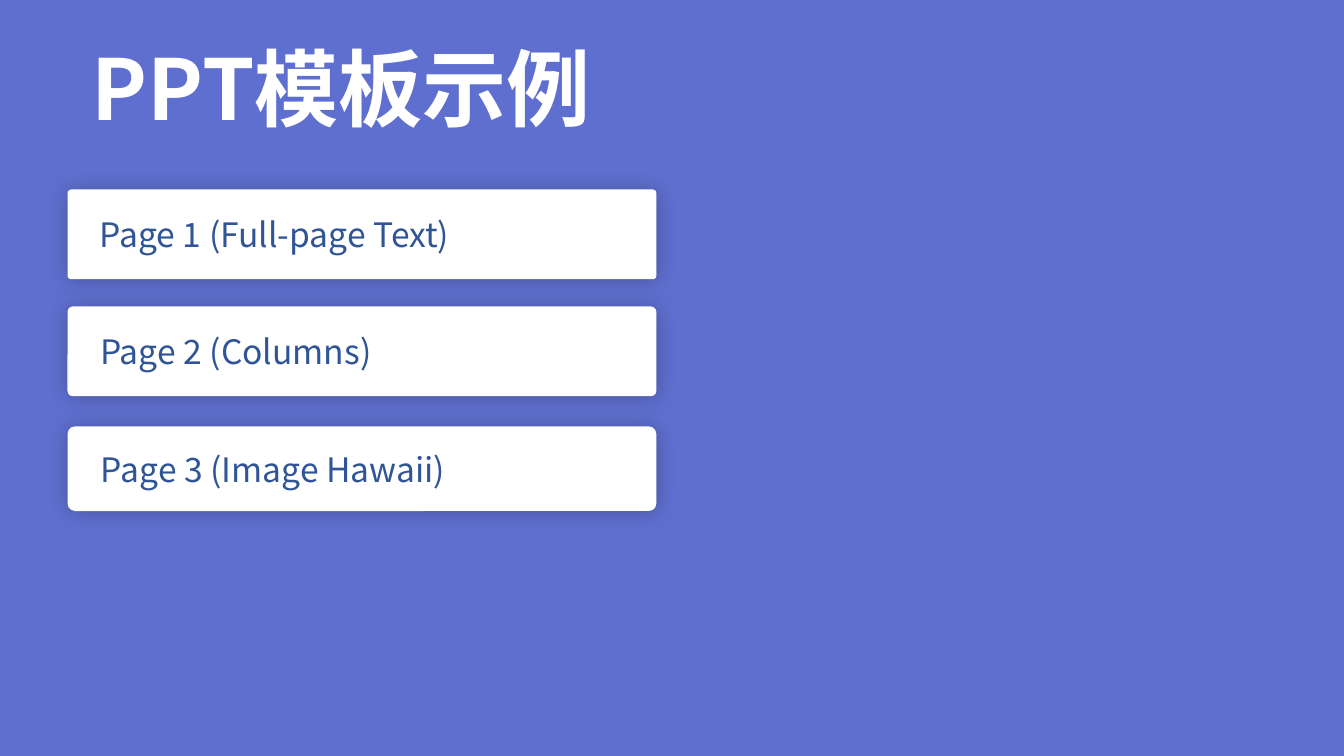
from lxml import etree
from pptx import Presentation
from pptx.dml.color import RGBColor
from pptx.enum.shapes import MSO_SHAPE
from pptx.enum.text import MSO_ANCHOR, MSO_AUTO_SIZE, PP_ALIGN
from pptx.oxml.ns import qn
from pptx.util import Inches, Pt

ROUNDED = MSO_SHAPE.ROUNDED_RECTANGLE
MIDDLE = MSO_ANCHOR.MIDDLE
LEFT = PP_ALIGN.LEFT
NO_AUTOFIT = MSO_AUTO_SIZE.NONE
TITLE_ONLY = 5

FONT = "Noto Sans CJK SC"
COLORS = {"background": "5F6FCF", "white": "FFFFFF", "entry": "2F5597", "shadow": "000000"}


class Deck:
    """Holds the style and the current slide."""

    def __init__(self, slide):
        self.slide = slide

    def color(self, name):
        return RGBColor.from_string(COLORS[name])

    def background(self, color):
        fill = self.slide.background.fill
        fill.solid()
        fill.fore_color.rgb = self.color(color)

    def set_text(self, shape, text, size, color, insets, bold=False):
        frame = shape.text_frame
        frame.text = text
        frame.word_wrap = True
        frame.auto_size = NO_AUTOFIT
        frame.vertical_anchor = MIDDLE
        (frame.margin_left, frame.margin_top,
         frame.margin_right, frame.margin_bottom) = map(Inches, insets)
        paragraph = frame.paragraphs[0]
        paragraph.alignment = LEFT
        font = paragraph.font
        font.size, font.bold, font.name = Pt(size), bold, FONT
        font.color.rgb = self.color(color)
        # East Asian glyphs take their typeface from a separate element
        latin = next(paragraph._p.iter(qn("a:latin")))
        latin.addnext(latin.makeelement(qn("a:ea"), {"typeface": FONT}))

    def title(self, text, left, top, width, height):
        heading = self.slide.shapes.title
        heading.left, heading.top = Inches(left), Inches(top)
        heading.width, heading.height = Inches(width), Inches(height)
        self.set_text(heading, text, 60, "white", (0, 0, 0, 0), bold=True)

    def glow(self, shape, blur, opacity):
        shape.shadow.inherit = False
        effects = shape._element.spPr.find(qn("a:effectLst"))
        outer = etree.SubElement(effects, qn("a:outerShdw"), blurRad=str(Pt(blur)),
                                 dist="0", dir="0", algn="ctr", rotWithShape="0")
        tint = etree.SubElement(outer, qn("a:srgbClr"), val=COLORS["shadow"])
        etree.SubElement(tint, qn("a:alpha"), val=str(opacity * 1000))

    def card(self, text, left, top, width, height, rounding):
        card = self.slide.shapes.add_shape(
            ROUNDED, Inches(left), Inches(top), Inches(width), Inches(height))
        card.adjustments[0] = rounding
        card.fill.solid()
        card.fill.fore_color.rgb = self.color("white")
        card.line.fill.background()
        self.glow(card, blur=15, opacity=23)
        self.set_text(card, text, 24, "entry", (0.31, 0.2, 0.08, 0.2))


presentation = Presentation()
presentation.slide_width = Inches(13.33)
presentation.slide_height = Inches(7.5)
deck = Deck(presentation.slides.add_slide(presentation.slide_layouts[TITLE_ONLY]))

# Background and heading
deck.background("background")
deck.title("PPT模板示例", 0.91, 0.26, 11.5, 1.2)

# Page list
pages = [
    ("Page 1 (Full-page Text)", 1.88, 0.89, 0.04),
    ("Page 2 (Columns)", 3.04, 0.89, 0.06),
    ("Page 3 (Image Hawaii)", 4.23, 0.84, 0.09),
]
for page, top, height, rounding in pages:
    deck.card(page, 0.67, top, 5.84, height, rounding)

presentation.save("out.pptx")
